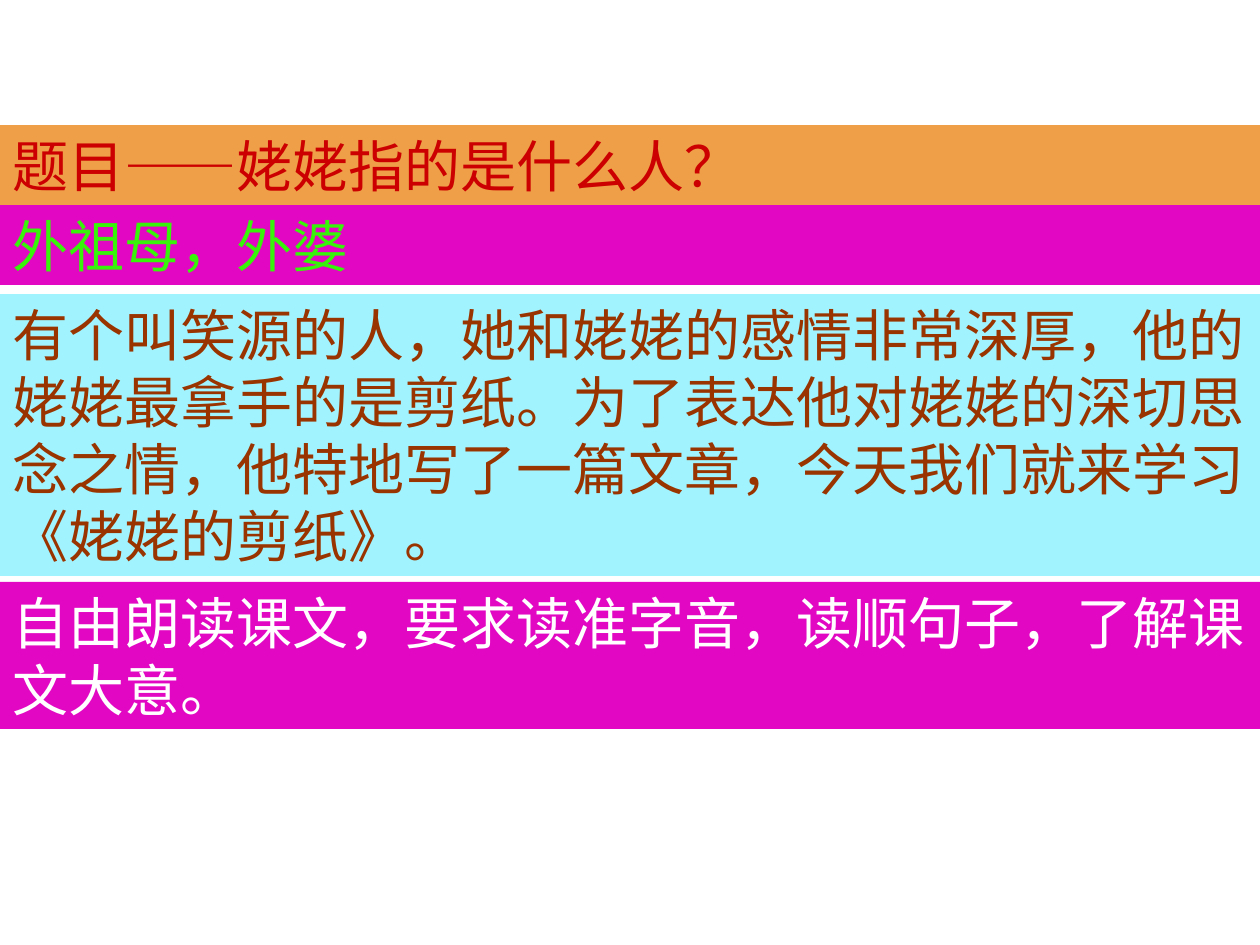
from lxml import etree
from pptx import Presentation
from pptx import util as u
from pptx.dml.color import RGBColor
from pptx.enum import text
from pptx.oxml import ns

PX = 914400 / 126
WIDTH, HEIGHT = 1260, 945
FONT = "Noto Sans CJK SC"
ORANGE = RGBColor(0xEE, 0x9F, 0x48)
PINK = RGBColor(0xE2, 0x08, 0xC3)
CYAN = RGBColor(0xA1, 0xF4, 0xFD)
RED = RGBColor(0xCC, 0x00, 0x00)
GREEN = RGBColor(0x37, 0xF4, 0x0A)
BROWN = RGBColor(0x99, 0x33, 0x00)
WHITE = RGBColor(0xFF, 0xFF, 0xFF)

BANDS = [
    (125, 80, ORANGE, RED, "题目——姥姥指的是什么人？"),
    (205, 80, PINK, GREEN, "外祖母，外婆"),
    (294, 282, CYAN, BROWN,
     "有个叫笑源的人，她和姥姥的感情非常深厚，他的姥姥最拿手的是剪纸。"
     "为了表达他对姥姥的深切思念之情，他特地写了一篇文章，"
     "今天我们就来学习《姥姥的剪纸》。"),
    (582, 147, PINK, WHITE,
     "自由朗读课文，要求读准字音，读顺句子，了解课文大意。"),
]


def px(size):
    """Turn pixels into EMU."""
    return u.Emu(round(size * PX))


def add_run(para, words, color):
    """Add one run in the lesson font, for Latin and Chinese alike."""
    run = para.add_run()
    run.text = words
    font = run.font
    font.size = u.Pt(32)
    font.name = FONT
    font.color.rgb = color
    east = etree.SubElement(run._r.get_or_add_rPr(), ns.qn("a:ea"))
    east.set("typeface", FONT)


def add_band(slide, top, high, fill, color, words):
    """Add a full-width coloured band of text."""
    box = slide.shapes.add_textbox(0, px(top), px(WIDTH), px(high))
    box.fill.solid()
    box.fill.fore_color.rgb = fill
    frame = box.text_frame
    frame.word_wrap = True
    frame.auto_size = text.MSO_AUTO_SIZE.SHAPE_TO_FIT_TEXT
    add_run(frame.paragraphs[0], words, color)


def main():
    """Build the lesson slide."""
    deck = Presentation()
    deck.slide_width, deck.slide_height = px(WIDTH), px(HEIGHT)
    slide = deck.slides.add_slide(deck.slide_layouts[6])
    for band in BANDS:
        add_band(slide, *band)
    deck.save("out.pptx")


if __name__ == "__main__":
    main()
